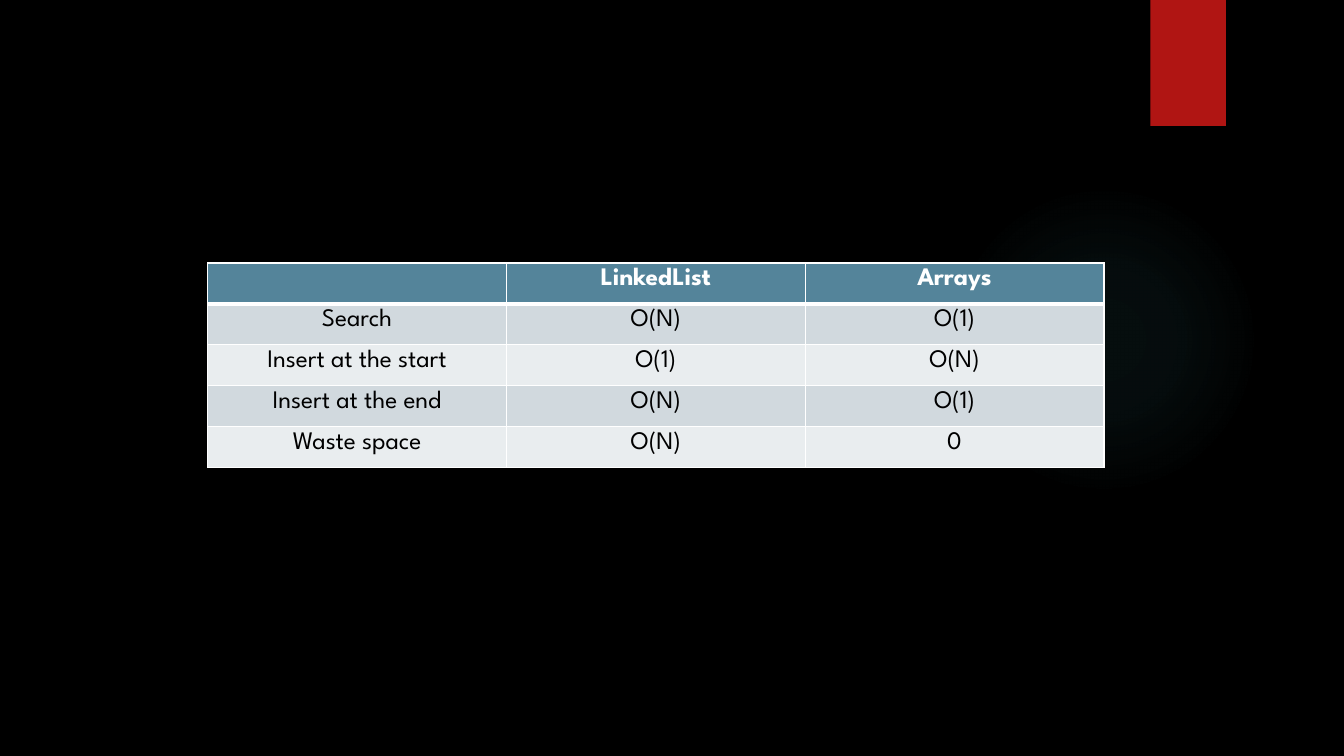
from lxml import etree
from pptx import Presentation
from pptx.dml.color import RGBColor
from pptx.enum.shapes import MSO_SHAPE
from pptx.enum.text import PP_ALIGN
from pptx.oxml import parse_xml
from pptx.oxml.ns import nsdecls, qn
from pptx.util import Inches, Pt

RECTANGLE, ELLIPSE = MSO_SHAPE.RECTANGLE, MSO_SHAPE.OVAL
CENTER = PP_ALIGN.CENTER
FONT = "League Spartan"
HEADER_FILL = "54849A"
BAND_FILLS = ["E9EDEF", "D1D9DE"]
GLOW_STOPS = [(0, 7), (36, 6), (69, 0)]  # position and opacity, percent
ROWS = [
    ["", "LinkedList", "Arrays"],
    ["Search", "O(N)", "O(1)"],
    ["Insert at the start", "O(1)", "O(N)"],
    ["Insert at the end", "O(N)", "O(1)"],
    ["Waste space", "O(N)", "0"],
]


def set_fill(fill, color):
    fill.solid()
    fill.fore_color.rgb = RGBColor.from_string(color)


def set_borders(cell, widths):
    """Draw white cell borders; widths maps L, R, T, B to points."""
    tcPr = cell._tc.get_or_add_tcPr()
    for i, side in enumerate("LRTB"):
        ln = etree.Element(qn(f"a:ln{side}"), w=str(Pt(widths[side])))
        solid = etree.SubElement(ln, qn("a:solidFill"))
        etree.SubElement(solid, qn("a:srgbClr"), val="FFFFFF")
        tcPr.insert(i, ln)


prs = Presentation()
prs.slide_width, prs.slide_height = Inches(13.33), Inches(7.5)
s = prs.slides.add_slide(prs.slide_layouts[6])
set_fill(s.background.fill, "000000")

# Soft glow behind the table
glow = s.shapes.add_shape(ELLIPSE, Inches(9.41), Inches(1.83), Inches(3.08), Inches(3.08))
glow.shadow.inherit = False
glow.line.fill.background()
set_fill(glow.fill, "50B9C1")
stops = "".join(
    f'<a:gs pos="{pos * 1000}"><a:srgbClr val="50B9C1">'
    f'<a:alpha val="{alpha * 1000}"/></a:srgbClr></a:gs>'
    for pos, alpha in GLOW_STOPS
)
gradient = parse_xml(
    f'<a:gradFill {nsdecls("a")}><a:gsLst>{stops}</a:gsLst><a:path path="circle">'
    '<a:fillToRect l="50000" t="50000" r="50000" b="50000"/></a:path></a:gradFill>'
)
spPr = glow._element.spPr
spPr.replace(spPr.find(qn("a:solidFill")), gradient)

# Red tab at the top edge
tab = s.shapes.add_shape(RECTANGLE, Inches(11.41), 0, Inches(0.75), Inches(1.25))
tab.shadow.inherit = False
tab.line.fill.background()
set_fill(tab.fill, "B01513")
tab._element.spPr.find(qn("a:effectLst")).append(parse_xml(
    f'<a:outerShdw {nsdecls("a")} blurRad="{Pt(3)}" dist="{Pt(2)}" dir="5400000" rotWithShape="0">'
    '<a:srgbClr val="000000"><a:alpha val="45000"/></a:srgbClr></a:outerShdw>'
))

# Complexity table
table = s.shapes.add_table(
    len(ROWS), len(ROWS[0]), Inches(2.06), Inches(2.61), Inches(8.89), Inches(2.03)
).table
for r, row in enumerate(ROWS):
    header = r == 0
    for c, text in enumerate(row):
        cell = table.cell(r, c)
        set_fill(cell.fill, HEADER_FILL if header else BAND_FILLS[r % 2])
        set_borders(cell, {"L": 1, "R": 1, "T": 3 if r == 1 else 1, "B": 3 if header else 1})
        p = cell.text_frame.paragraphs[0]
        p.text = text
        p.alignment = CENTER
        p.font.name = FONT
        p.font.size = Pt(18)
        for run in p.runs:
            run.font.name = FONT
            run.font.size = Pt(18)
            run.font.bold = header
            run.font.color.rgb = RGBColor.from_string("FFFFFF" if header else "000000")

prs.save("out.pptx")
